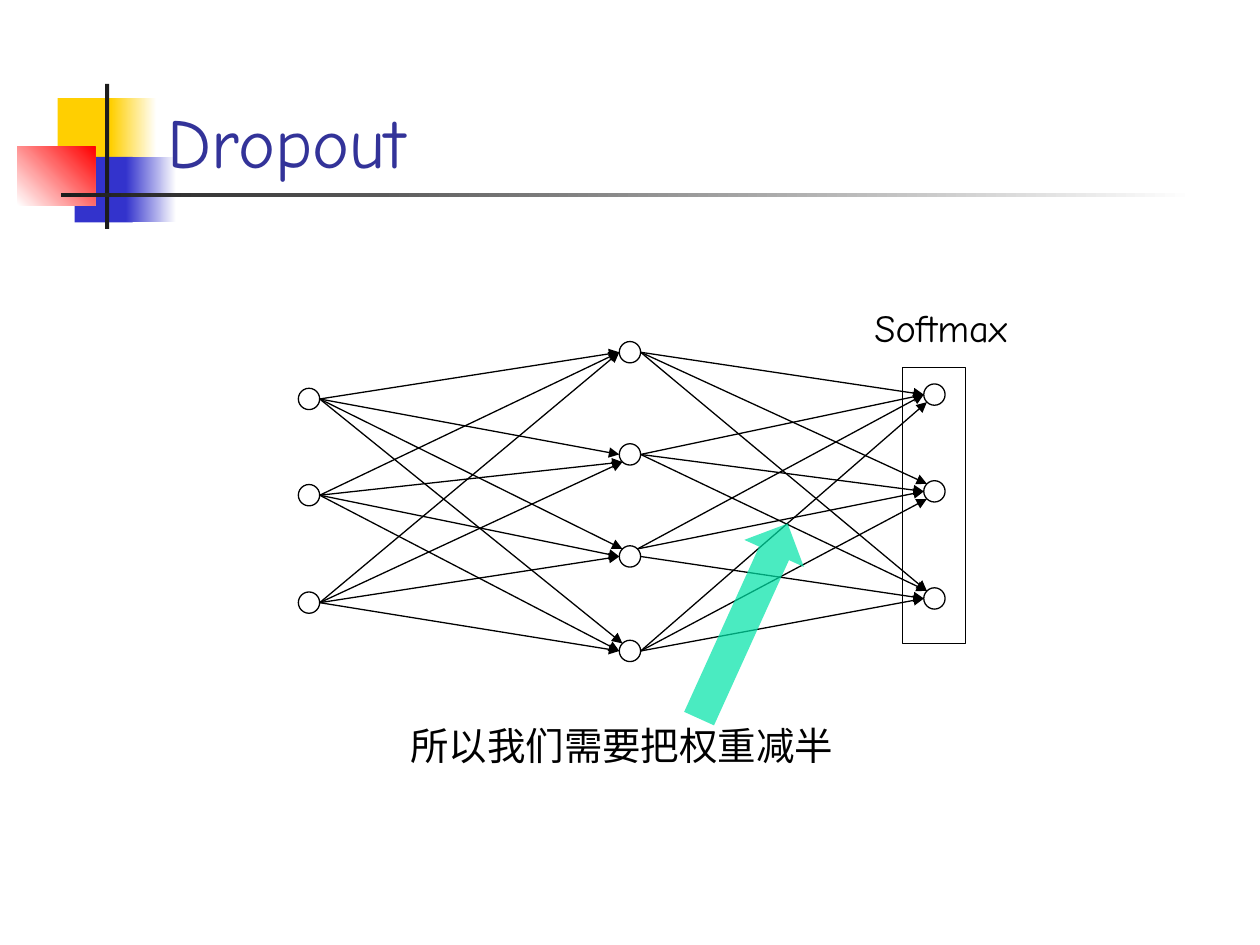
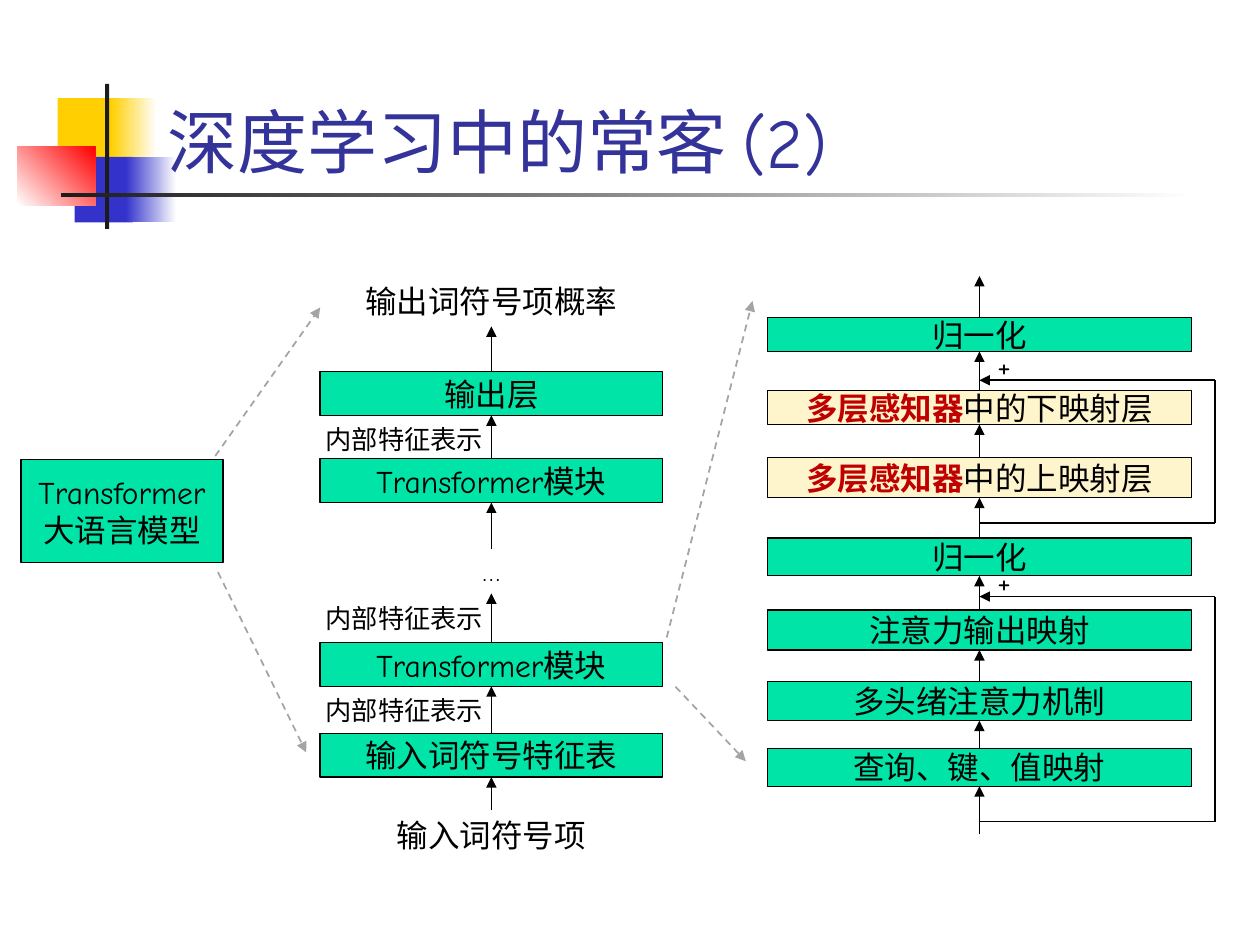
from collections import namedtuple

from lxml.etree import SubElement
from pptx import Presentation
from pptx.dml.color import RGBColor
from pptx.enum.dml import MSO_LINE
from pptx.enum.shapes import MSO_CONNECTOR, MSO_SHAPE as Preset
from pptx.enum.text import MSO_ANCHOR as Anchor, PP_ALIGN as Align
from pptx.oxml.ns import qn
from pptx.util import Pt

COLORS = {
    "black": "000000", "white": "FFFFFF", "ink": "1C1C1C", "title": "333399",
    "yellow": "FFCF01", "blue": "3333CC", "red": "FF0000", "green": "00E4A8",
    "cream": "FFF5CC", "accent": "C00000", "gray": "A4A4A4",
}
FONT, CJK_FONT = "Comic Neue", "Noto Sans CJK JP"
NODE = 12.2
# Points on a node's rim, in radii from its centre
PORTS = {"left": (-1, 0), "right": (1, 0), "upper left": (-0.71, -0.71),
         "lower left": (-0.71, 0.71), "upper right": (0.71, -0.71)}

Box = namedtuple("Box", "left top width height")
Span = namedtuple("Span", "text color bold font", defaults=(None, None, None))


def rgb(name):
    return RGBColor.from_string(COLORS[name])


def put_text(shape, content, size, color="black", align=Align.CENTER,
             anchor=Anchor.MIDDLE):
    """Fills a shape with one paragraph, from a string or a list of spans."""
    frame = shape.text_frame
    frame.word_wrap = True
    frame.vertical_anchor = anchor
    para = frame.paragraphs[0]
    para.alignment = align
    para.font.size = Pt(size)
    para.font.name = FONT
    para.font.color.rgb = rgb(color)
    for span in [Span(content)] if isinstance(content, str) else content:
        run = para.add_run()
        run.text = span.text
        if span.color:
            run.font.color.rgb = rgb(span.color)
        if span.bold:
            run.font.bold = True
        if span.font:
            run.font.name = span.font


def add_label(page, box, content, size, color="black", align=Align.CENTER,
              anchor=Anchor.TOP):
    shape = page.shapes.add_textbox(*map(Pt, box))
    put_text(shape, content, size, color, align, anchor)


def add_block(page, box, fill=None, line="black", preset=Preset.RECTANGLE):
    """Draws a preset shape; a pair of colours makes a gradient fill."""
    shape = page.shapes.add_shape(preset, *map(Pt, box))
    shape.shadow.inherit = False
    if isinstance(fill, tuple):
        shape.fill.gradient()
        for stop, name in zip(shape.fill.gradient_stops, fill):
            stop.color.rgb = rgb(name)
        shape.fill.gradient_angle = 0
    elif fill:
        shape.fill.solid()
        shape.fill.fore_color.rgb = rgb(fill)
    else:
        shape.fill.background()
    if line:
        shape.line.color.rgb = rgb(line)
        shape.line.width = Pt(0.75)
    else:
        shape.line.fill.background()
    return shape


def add_link(page, start, end, width=1.0, color="black", arrow=True, dashed=False):
    link = page.shapes.add_connector(MSO_CONNECTOR.STRAIGHT,
                                     *map(Pt, (*start, *end)))
    link.line.color.rgb = rgb(color)
    link.line.width = Pt(width)
    if dashed:
        link.line.dash_style = MSO_LINE.DASH
    properties = link.element.find(qn("p:spPr"))
    if arrow:
        SubElement(properties.find(qn("a:ln")), qn("a:tailEnd"), type="triangle")
    SubElement(properties, qn("a:effectLst"))
    return link


def climb(page, x, lower, upper):
    """Draws an upward arrow; each end is a block or a bare height."""
    from_block, to_block = hasattr(lower, "top"), hasattr(upper, "top")
    start = lower.top.pt if from_block else lower
    end = upper.top.pt + upper.height.pt if to_block else upper
    link = add_link(page, (x, start), (x, end))
    if from_block:
        link.begin_connect(lower, 0)
    if to_block:
        link.end_connect(upper, 2)


def climb_all(page, x, stops):
    for lower, upper in zip(stops, stops[1:]):
        climb(page, x, lower, upper)


def add_ornament(page, box):
    """Overlapping colour squares with a vertical bar and a fading rule."""
    parts = [
        (23, 8, 34.5, 37.5, "yellow"),
        (53.4, 8, 26, 37.5, ("yellow", "white")),
        (32.6, 41.6, 33.2, 37.5, "blue"),
        (62, 41.6, 28.8, 37.5, ("blue", "white")),
        (0, 35.8, 44.4, 33.6, ("white", "red")),
        (50, 0, 2.4, 82.8, "ink"),
        (25, 62.2, 648, 2.2, ("ink", "white")),
    ]
    for left, top, width, height, fill in parts:
        shape = add_block(page, Box(box.left + left, box.top + top, width, height),
                          fill, line=None)
        if fill == ("white", "red"):
            shape.fill.gradient_angle = 45


def add_page(deck, title):
    page = deck.slides.add_slide(deck.slide_layouts[6])
    add_ornament(page, Box(10, 48, 673, 83))
    add_label(page, Box(88.6, 36, 613.4, 72), title, 40, "title",
              Align.LEFT, Anchor.BOTTOM)
    return page


def add_layer(page, x, heights):
    """Draws a column of nodes and returns their centres."""
    for y in heights:
        add_block(page, Box(x - NODE / 2, y - NODE / 2, NODE, NODE), "white",
                  preset=Preset.OVAL)
    return [(x, y) for y in heights]


def rim(centre, port):
    return [c + step * NODE / 2 for c, step in zip(centre, PORTS[port])]


def connect_layers(page, sources, targets, entries, exits=None):
    """Joins all pairs; entries hold L, U or D for left, upper, lower left."""
    names = {"L": "left", "U": "upper left", "D": "lower left"}
    for i, source in enumerate(sources):
        for j, target in enumerate(targets):
            leaving = (exits or {}).get((i, j), "right")
            add_link(page, rim(source, leaving),
                     rim(target, names[entries[i][j]]), 0.75)


def add_network(page, box):
    def column(x, heights):
        return add_layer(page, box.left + x, [box.top + y for y in heights])

    inputs = column(6.2, (58, 113, 174.4))
    hidden = column(189.6, (31.3, 89.7, 148, 202))
    add_block(page, Box(box.left + 345.4, box.top + 40, 36, 157.8))
    outputs = column(363.6, (55.5, 110.8, 172))
    connect_layers(page, inputs, hidden, ("LLUU", "LDLL", "LDLL"))
    connect_layers(page, hidden, outputs, ("LUU", "LLU", "LLL", "DDL"),
                   {(2, 0): "upper right", (2, 1): "upper right"})
    add_label(page, Box(box.left + 271.4, box.top, 191.6, 34), "Softmax", 22)


def add_pointer(page, box):
    """A translucent arrow from the caption up to the weights."""
    arrow = add_block(page, box, "green", line=None, preset=Preset.RIGHT_ARROW)
    arrow.rotation = 294.4
    tint = arrow.element.find(".//" + qn("a:srgbClr"))
    SubElement(tint, qn("a:alpha"), val="71000")


def add_model_stack(page, box):
    """The language model's layers, from tokens up to probabilities."""
    middle = box.left + box.width / 2
    layers = []
    for text, top in (("输入词符号特征表", 261.4), ("Transformer模块", 209.5),
                      ("Transformer模块", 104.5), ("输出层", 54.7)):
        layer = add_block(page, Box(box.left, box.top + top, box.width, 25), "green")
        put_text(layer, text, 18)
        layers.append(layer)
    for text, top in (("输出词符号项概率", 0), ("输入词符号项", 305.3)):
        add_label(page, Box(middle - 123.5, box.top + top, 247, 28.8), text, 18)
    for top in (80.6, 183, 235.4):
        add_label(page, Box(box.left - 29.5, box.top + top, 155.5, 25), "内部特征表示", 15)
    add_label(page, Box(middle - 77.75, box.top + 156.2, 155.5, 25), "…", 15)

    embedding, first, last, output = layers
    climb_all(page, middle, [box.top + 305.3, embedding, first, box.top + 181.4])
    climb_all(page, middle, [box.top + 156.2, last, output, box.top + 28.8])


def add_skip(page, x, right, tap, back):
    """A residual path leaving at height tap and rejoining at height back."""
    add_link(page, (x, tap), (right, tap), arrow=False)
    add_link(page, (right, tap), (right, back), arrow=False)
    add_link(page, (right, back), (x, back))
    add_label(page, Box(x + 3, back - 23, 26.6, 28.8), "+", 18, align=Align.LEFT)


def add_block_detail(page, box):
    """The inside of one Transformer block, from bottom to top."""
    middle = box.left + box.width / 2
    perceptron = Span("多层感知器", "accent", True)
    rows = [
        ("查询、键、值映射", 270, 21.6, "green"),
        ("多头绪注意力机制", 231.8, 22.3, "green"),
        ("注意力输出映射", 190.8, 23, "green"),
        ("归一化", 149.8, 21.6, "green"),
        ([perceptron, Span("中的上映射层")], 103.7, 23, "cream"),
        ([perceptron, Span("中的下映射层")], 65.5, 19.4, "cream"),
        ("归一化", 23.8, 19.4, "green"),
    ]
    steps = []
    for content, top, height, fill in rows:
        step = add_block(page, Box(box.left, box.top + top, box.width, height), fill)
        put_text(step, content, 18)
        steps.append(step)
    climb_all(page, middle, [box.top + box.height, *steps, box.top])
    for tap, back in ((311.8, 183.2), (141.2, 59.6)):
        add_skip(page, middle, box.left + box.width + 13.4,
                 box.top + tap, box.top + back)


def build_dropout(deck):
    page = add_page(deck, "Dropout")
    add_label(page, Box(72, 409, 566.6, 34), "所以我们需要把权重减半", 22)
    add_network(page, Box(170.4, 170, 463, 208))
    add_pointer(page, Box(363.6, 336.2, 122.4, 37.4))


def build_transformer(deck):
    page = add_page(deck, [Span("深度学习中的常客 ", font=CJK_FONT), Span("(2)")])
    model = add_block(page, Box(12, 262.4, 115.4, 59), "green")
    put_text(model, "Transformer 大语言模型", 18)
    frame = model.text_frame
    frame.margin_left = frame.margin_right = frame.margin_top = frame.margin_bottom = 0
    add_model_stack(page, Box(182.8, 157.7, 196, 334))
    add_block_detail(page, Box(438.5, 157.7, 242.4, 319))
    for start, end in (((123, 260.6), (183, 175.7)), ((124.6, 327), (175, 430)),
                       ((381, 364.3), (430, 172)), ((386, 392.4), (426.2, 435))):
        add_link(page, start, end, color="gray", dashed=True)


def main():
    deck = Presentation()
    deck.slide_width, deck.slide_height = Pt(720), Pt(540)
    build_dropout(deck)
    build_transformer(deck)
    deck.save("out.pptx")


if __name__ == "__main__":
    main()
